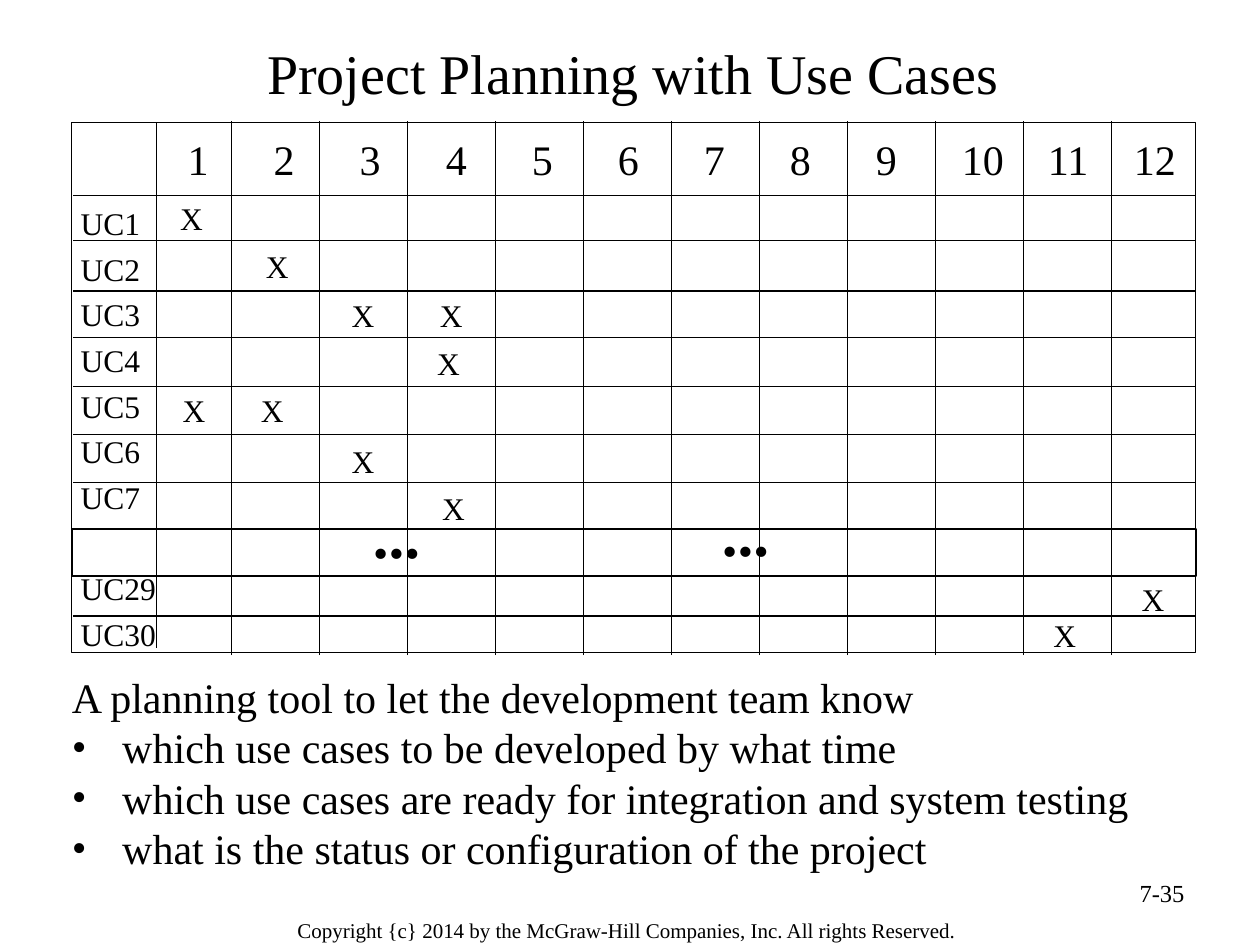
"""Build a project planning slide with a use case by period grid."""
from lxml import etree
from pptx import Presentation, util as u
from pptx.dml.color import RGBColor
from pptx.enum import shapes, text
from pptx.oxml.ns import qn

COLORS = {"ink": "000000", "paper": "FFFFFF"}
FONT = "Times New Roman"
W, H = 10, 7.5
TITLE = "Project Planning with Use Cases"
PAGE = "7-35"
COPYRIGHT = "Copyright {c} 2014 by the McGraw-Hill Companies, Inc. All rights Reserved."
LEAD = "A planning tool to let the development team know"
POINTS = [
    "which use cases to be developed by what time",
    "which use cases are ready for integration and system testing",
    "what is the status or configuration of the project",
]
PERIODS = range(1, 13)
ROWS = [
    {"label": "UC1", "rule": 1.55, "mark_top": 1.58, "marks": {1: 1.43}},
    {"label": "UC2", "rule": 1.91, "mark_top": 1.96, "marks": {2: 2.11}},
    {"label": "UC3", "rule": 2.31, "mark_top": 2.35, "marks": {3: 2.79, 4: 3.49}},
    {"label": "UC4", "rule": 2.68, "mark_top": 2.73, "marks": {4: 3.47}},
    {"label": "UC5", "rule": 3.07, "mark_top": 3.10, "marks": {1: 1.45, 2: 2.07}},
    {"label": "UC6", "rule": 3.45, "mark_top": 3.51, "marks": {3: 2.79}},
    {"label": "UC7", "rule": 3.83, "mark_top": 3.88, "marks": {4: 3.51}},
    {"label": "", "rule": 4.20, "mark_top": 4.20, "marks": {}},
    {"label": "UC29", "rule": 4.57, "mark_top": 4.60, "marks": {12: 9.06}},
    {"label": "UC30", "rule": 4.89, "mark_top": 4.89, "marks": {11: 8.36}},
]
ELLIPSES = [(2.96, 3.93), (5.73, 3.92)]
GRID_L, GRID_T, GRID_W, GRID_H = 0.57, 0.97, 8.92, 4.21
FIRST_RULE, SECOND_RULE, LAST_RULE = 1.24, 1.84, 8.82
RULE_STEP = (LAST_RULE - SECOND_RULE) / (len(PERIODS) - 2)
FIRST_NUMBER, LAST_NUMBER = 1.49, 9
NUMBER_STEP = (LAST_NUMBER - FIRST_NUMBER) / (len(PERIODS) - 1)
FIRST_LABEL, LAST_LABEL = 1.62, 4.88
LABEL_STEP = (LAST_LABEL - FIRST_LABEL) / (len(ROWS) - 1)
HANG = 0.4


def ink():
    return RGBColor.from_string(COLORS["ink"])


def add_text(s, box, lines, size, align="LEFT", anchor="TOP", inset=(0, 0),
             wrap=True, bold=None, bulleted=False):
    sp = s.shapes.add_textbox(*(u.Inches(v) for v in box))
    tf = sp.text_frame
    tf.word_wrap = wrap
    tf.margin_left = tf.margin_right = u.Inches(inset[0])
    tf.margin_top = tf.margin_bottom = u.Inches(inset[1])
    tf.vertical_anchor = text.MSO_ANCHOR[anchor]
    for i, line in enumerate(lines):
        p = tf.paragraphs[0] if i == 0 else tf.add_paragraph()
        p.alignment = text.PP_ALIGN[align]
        if bulleted and i:
            pPr = p._p.get_or_add_pPr()
            pPr.set("marL", str(u.Inches(HANG)))
            pPr.set("indent", str(-u.Inches(HANG)))
            etree.SubElement(pPr, qn("a:buFont")).set("typeface", FONT)
            etree.SubElement(pPr, qn("a:buChar")).set("char", "•")
        r = p.add_run()
        r.text = line
        r.font.name, r.font.size, r.font.bold = FONT, u.Pt(size), bold
        r.font.color.rgb = ink()


def add_rule(s, x1, y1, x2, y2):
    c = s.shapes.add_connector(shapes.MSO_CONNECTOR.STRAIGHT,
                               *(u.Inches(v) for v in (x1, y1, x2, y2)))
    c.line.color.rgb, c.line.width = ink(), u.Pt(0.75)
    etree.SubElement(c._element.spPr, qn("a:effectLst"))


def add_frame(s, top, height, width):
    sp = s.shapes.add_shape(shapes.MSO_SHAPE.RECTANGLE,
                            *(u.Inches(v) for v in (GRID_L, top, GRID_W, height)))
    sp.shadow.inherit = False
    sp.fill.background()
    sp.line.color.rgb, sp.line.width = ink(), u.Pt(width)


def add_grid(s):
    add_frame(s, GRID_T, GRID_H, 0.75)
    add_rule(s, FIRST_RULE, 5.14, FIRST_RULE, GRID_T)
    for i, period in enumerate(PERIODS):
        if i < len(PERIODS) - 1:
            x = SECOND_RULE + i * RULE_STEP
            add_rule(s, x, 5.2, x, 0.96)
        add_text(s, (FIRST_NUMBER + i * NUMBER_STEP, 1.06, 0.17 * len(str(period)), 0.4),
                 [str(period)], 24, wrap=False)
    for i, row in enumerate(ROWS):
        add_rule(s, 0.58, row["rule"], 9.49, row["rule"])
        if row["label"]:
            add_text(s, (0.64, FIRST_LABEL + i * LABEL_STEP, 0.6, 0.3),
                     [row["label"]], 18)
        for left in row["marks"].values():
            add_text(s, (left, row["mark_top"], 0.18, 0.3), ["X"], 18, wrap=False)
    add_frame(s, 4.2, 0.37, 1)
    for left, top in ELLIPSES:
        add_text(s, (left, top, 0.38, 0.6), ["..."], 36, wrap=False, bold=True)


def main():
    prs = Presentation()
    prs.slide_width, prs.slide_height = u.Inches(W), u.Inches(H)
    s = prs.slides.add_slide(prs.slide_layouts[6])
    s.background.fill.solid()
    s.background.fill.fore_color.rgb = RGBColor.from_string(COLORS["paper"])
    add_text(s, (1.88, 7.22, 6.19, 0.31), [COPYRIGHT], 12, "CENTER", inset=(0.11, 0.06))
    add_text(s, (7.17, 6.92, 2.33, 0.52), [PAGE], 14, "RIGHT", inset=(0.1, 0.05))
    add_text(s, (0.3, 0.33, 9.45, 0.48), [TITLE], 32, "CENTER", "MIDDLE", (0.1, 0.05))
    add_text(s, (GRID_L, 5.33, GRID_W, 1.6), [LEAD, *POINTS], 24, bulleted=True)
    add_grid(s)
    prs.save("out.pptx")


if __name__ == "__main__":
    main()
